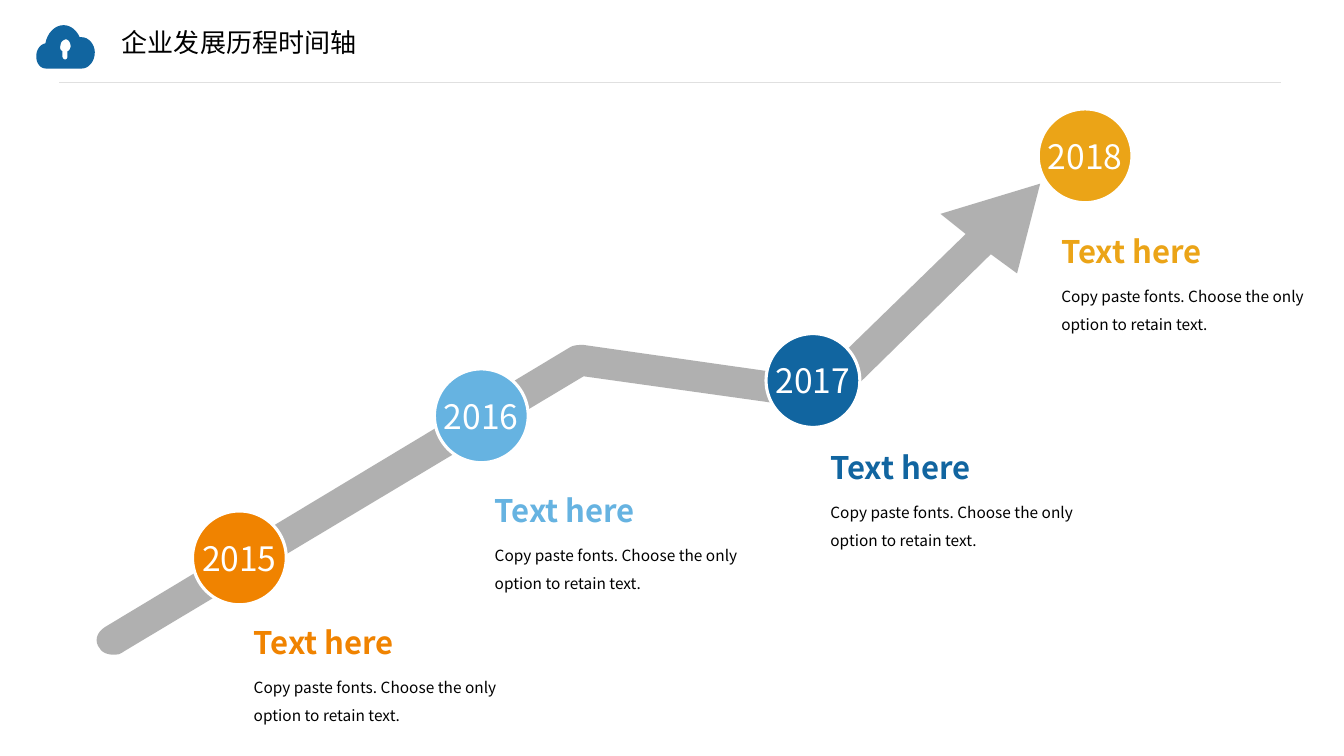
from dataclasses import dataclass
from math import cos, radians, sin

from lxml.etree import SubElement
from pptx import Presentation
from pptx.dml.color import RGBColor
from pptx.enum.shapes import MSO_CONNECTOR, MSO_SHAPE
from pptx.enum.text import MSO_ANCHOR as Anchor, PP_ALIGN as Align
from pptx.oxml.ns import qn
from pptx.shapes.autoshape import Shape
from pptx.shapes.shapetree import SlideShapes
from pptx.text.text import TextFrame
from pptx.util import Pt

ORANGE = RGBColor(0xF0, 0x83, 0x00)
SKY = RGBColor(0x66, 0xB3, 0xE1)
BLUE = RGBColor(0x11, 0x65, 0xA0)
GOLD = RGBColor(0xEB, 0xA4, 0x17)
GREY = RGBColor(0xA6, 0xA6, 0xA6)
RULE_GREY = RGBColor(0xE0, 0xE0, 0xE0)
BLACK = RGBColor(0, 0, 0)
WHITE = RGBColor(0xFF, 0xFF, 0xFF)

FONT = "Noto Sans CJK SC"
CIRCLE_SIZE = 67
CAPTION_WIDTH = 203.8
HEADING_HEIGHT = 32.4
BODY_HEIGHT = 51.8
CURVE_STEPS = 8
TREND_TILT = -8.8
TREND_CENTRE = (405.7, 300.2)

Point = tuple[float, float]
# A step is a straight line (x, y) or a cubic curve (x1, y1, x2, y2, x, y).
Step = tuple[float, ...]


@dataclass(frozen=True)
class Milestone:
    year: str
    color: RGBColor
    circle: Point
    caption: Point


MILESTONES = [
    Milestone("2015", ORANGE, (137.5, 365), (174.2, 442.1)),
    Milestone("2016", SKY, (310.3, 263.5), (346.3, 347.8)),
    Milestone("2017", BLUE, (547.2, 238.3), (586.1, 316.8)),
    Milestone("2018", GOLD, (741.6, 77.8), (751, 162.7)),
]

CLOUD: list[Step] = [
    (58.3, 26.6), (56.9, 26.6),
    (54.7, 21.6, 50.4, 18, 45.4, 18),
    (38.9, 18, 33.8, 23.8, 32.4, 31),
    (28.8, 31.7, 25.9, 35.3, 25.9, 40.3),
    (25.9, 45.4, 28.8, 49, 33.1, 49),
    (58.3, 49),
    (63.4, 49, 67.7, 43.9, 67.7, 37.4),
    (67.7, 31.7, 63.4, 26.6, 58.3, 26.6),
]
KEYHOLE: list[Step] = [
    (48.2, 36.7), (48.2, 40.3),
    (48.2, 41.8, 47.5, 42.5, 46.8, 42.5),
    (45.4, 42.5, 44.6, 41.8, 44.6, 40.3),
    (44.6, 36.7),
    (43.2, 36, 42.5, 34.6, 43.2, 32.4),
    (43.2, 30.2, 44.6, 28.8, 46.8, 28.1),
    (49, 28.1, 50.4, 30.2, 50.4, 33.1),
    (50.4, 34.6, 49.7, 36, 48.2, 36.7),
]
TREND_ARROW: list[Step] = [
    (743, 131), (671.8, 152.6), (689.8, 167), (583.9, 270), (416.9, 246.2),
    (413.3, 246.2, 410.4, 246.2, 407.5, 247.7),
    (74.9, 447.8),
    (69.1, 451.4, 67, 457.9, 71.3, 463),
    (73.4, 466.6, 78.5, 468, 83.5, 467.3),
    (85, 467.3, 86.4, 466.6, 88.6, 465.1),
    (416.9, 268.6), (586.1, 292.3),
    (590, 293.5, 594.5, 292.3, 598.3, 288.7),
    (707.8, 181.4), (726.5, 195.1),
]


def trace(steps: list[Step]) -> list[Point]:
    """Turn lines and curves into a run of points."""
    points: list[Point] = []
    for step in steps:
        if len(step) == 2:
            points.append((step[0], step[1]))
            continue
        corners = [points[-1], step[0:2], step[2:4], step[4:6]]
        for i in range(1, CURVE_STEPS + 1):
            t = i / CURVE_STEPS
            weights = ((1 - t) ** 3, 3 * t * (1 - t) ** 2, 3 * t * t * (1 - t), t ** 3)
            x, y = (sum(w * c[axis] for w, c in zip(weights, corners)) for axis in (0, 1))
            points.append((x, y))
    return points


def turn(point: Point, centre: Point, degrees: float) -> Point:
    dx, dy = point[0] - centre[0], point[1] - centre[1]
    a = radians(degrees)
    return centre[0] + dx * cos(a) - dy * sin(a), centre[1] + dx * sin(a) + dy * cos(a)


def add_outline(shapes: SlideShapes, contours: list[list[Point]], color: RGBColor) -> Shape:
    scaled = [[(Pt(x), Pt(y)) for x, y in contour] for contour in contours]
    builder = shapes.build_freeform(*scaled[0][0])
    for i, contour in enumerate(scaled):
        if i:
            builder.move_to(*contour[0])
        builder.add_line_segments(contour[1:], close=True)
    outline = builder.convert_to_shape()
    outline.shadow.inherit = False
    outline.fill.solid()
    outline.fill.fore_color.rgb = color
    outline.line.fill.background()
    return outline


def write(frame: TextFrame, text: str, size: float, color: RGBColor, bold: bool = False) -> None:
    run = frame.paragraphs[0].add_run()
    run.text = text
    run.font.size = Pt(size)
    run.font.name = FONT
    run.font.bold = bold
    run.font.color.rgb = color
    SubElement(run.font._element, qn("a:ea"), typeface=FONT)


def add_text_frame(shapes: SlideShapes, x: float, y: float, width: float, height: float) -> TextFrame:
    frame = shapes.add_textbox(Pt(x), Pt(y), Pt(width), Pt(height)).text_frame
    frame.word_wrap = True
    return frame


def add_milestone(shapes: SlideShapes, milestone: Milestone) -> None:
    x, y = milestone.circle
    circle = shapes.add_shape(MSO_SHAPE.OVAL, Pt(x), Pt(y), Pt(CIRCLE_SIZE), Pt(CIRCLE_SIZE))
    circle.shadow.inherit = False
    circle.fill.solid()
    circle.fill.fore_color.rgb = milestone.color
    circle.line.color.rgb = WHITE
    circle.line.width = Pt(2.25)
    year = circle.text_frame
    year.word_wrap = False
    year.vertical_anchor = Anchor.MIDDLE
    year.paragraphs[0].alignment = Align.CENTER
    write(year, milestone.year, 24, WHITE)

    x, y = milestone.caption
    heading = add_text_frame(shapes, x, y, CAPTION_WIDTH, HEADING_HEIGHT)
    write(heading, "Text here", 22.2, milestone.color, bold=True)
    body = add_text_frame(shapes, x, y + HEADING_HEIGHT, CAPTION_WIDTH, BODY_HEIGHT)
    body.paragraphs[0].line_spacing = 1.5
    write(body, "Copy paste fonts. Choose the only option to retain text.", 11, BLACK)


def main() -> None:
    deck = Presentation()
    deck.slide_width, deck.slide_height = Pt(960), Pt(540)
    shapes = deck.slides.add_slide(deck.slide_layouts[6]).shapes

    # Header
    rule = shapes.add_connector(MSO_CONNECTOR.STRAIGHT, Pt(915), Pt(59), Pt(42), Pt(59))
    rule.line.color.rgb = RULE_GREY
    rule.line.width = Pt(0.75)
    SubElement(rule._element.spPr, qn("a:effectLst"))
    add_outline(shapes, [trace(CLOUD), trace(KEYHOLE)], BLUE)
    title = add_text_frame(shapes, 87.1, 11.5, 640, 37.4)
    title.margin_left = title.margin_right = title.margin_top = title.margin_bottom = 0
    title.vertical_anchor = Anchor.MIDDLE
    write(title, "企业发展历程时间轴", 18.6, BLACK)

    # Trend arrow: laid out level, then tilted
    level = [turn(point, TREND_CENTRE, -TREND_TILT) for point in trace(TREND_ARROW)]
    trend = add_outline(shapes, [level], GREY)
    trend.rotation = TREND_TILT
    grey = trend.fill._xPr.find(qn("a:solidFill"))[0]
    SubElement(grey, qn("a:alpha"), val="88000")

    # Milestones
    for milestone in MILESTONES:
        add_milestone(shapes, milestone)

    deck.save("out.pptx")


if __name__ == "__main__":
    main()
